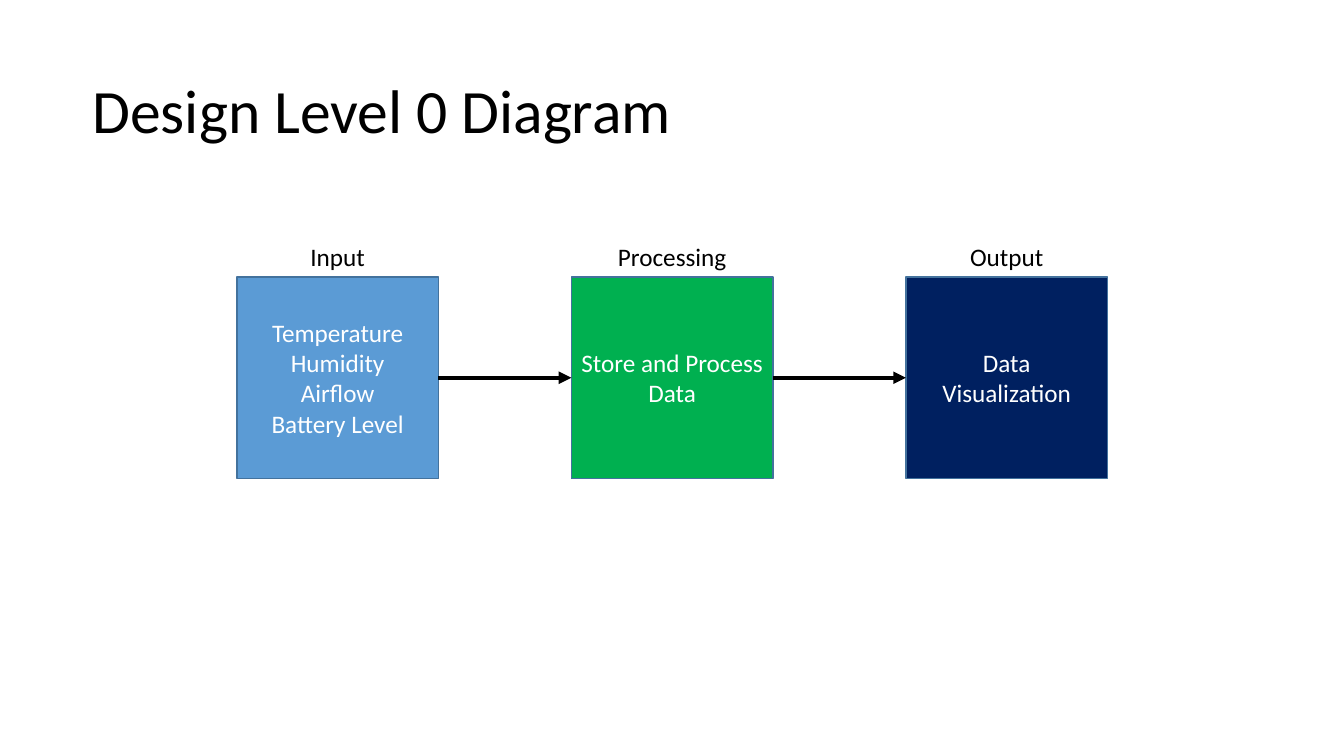
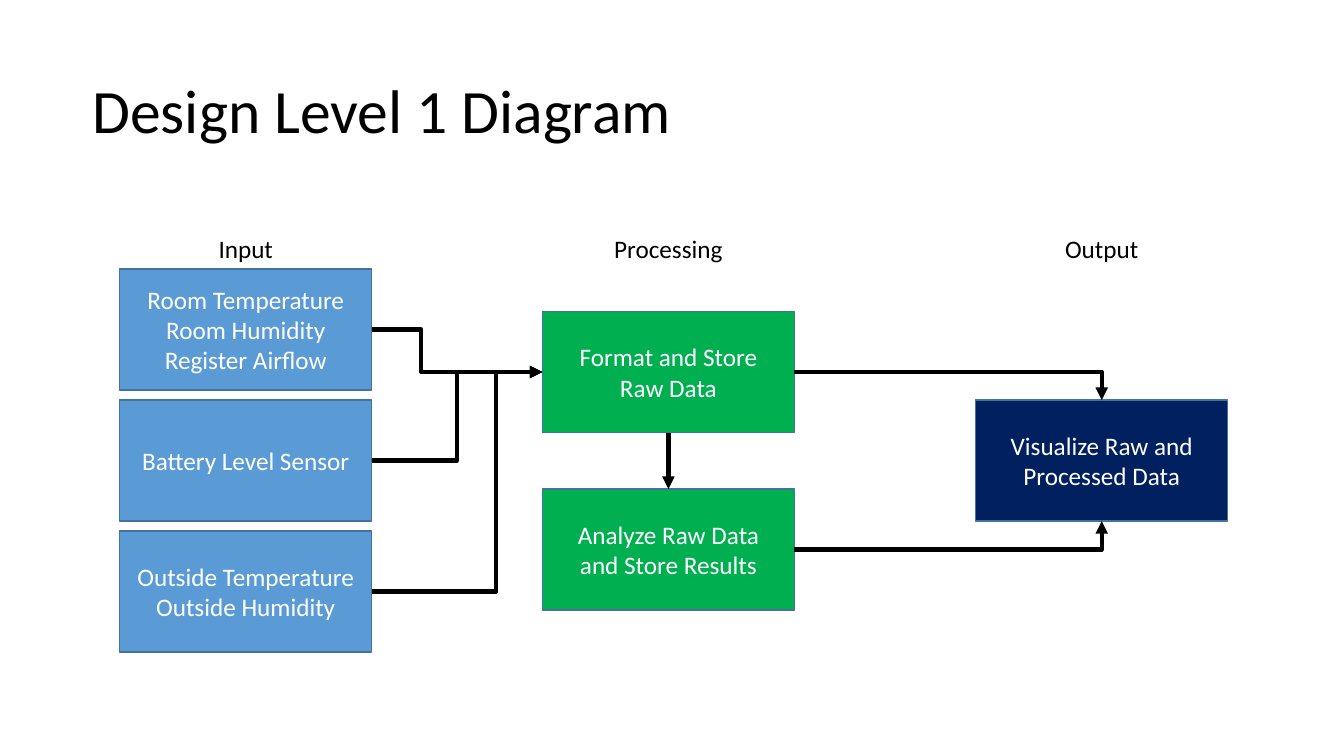
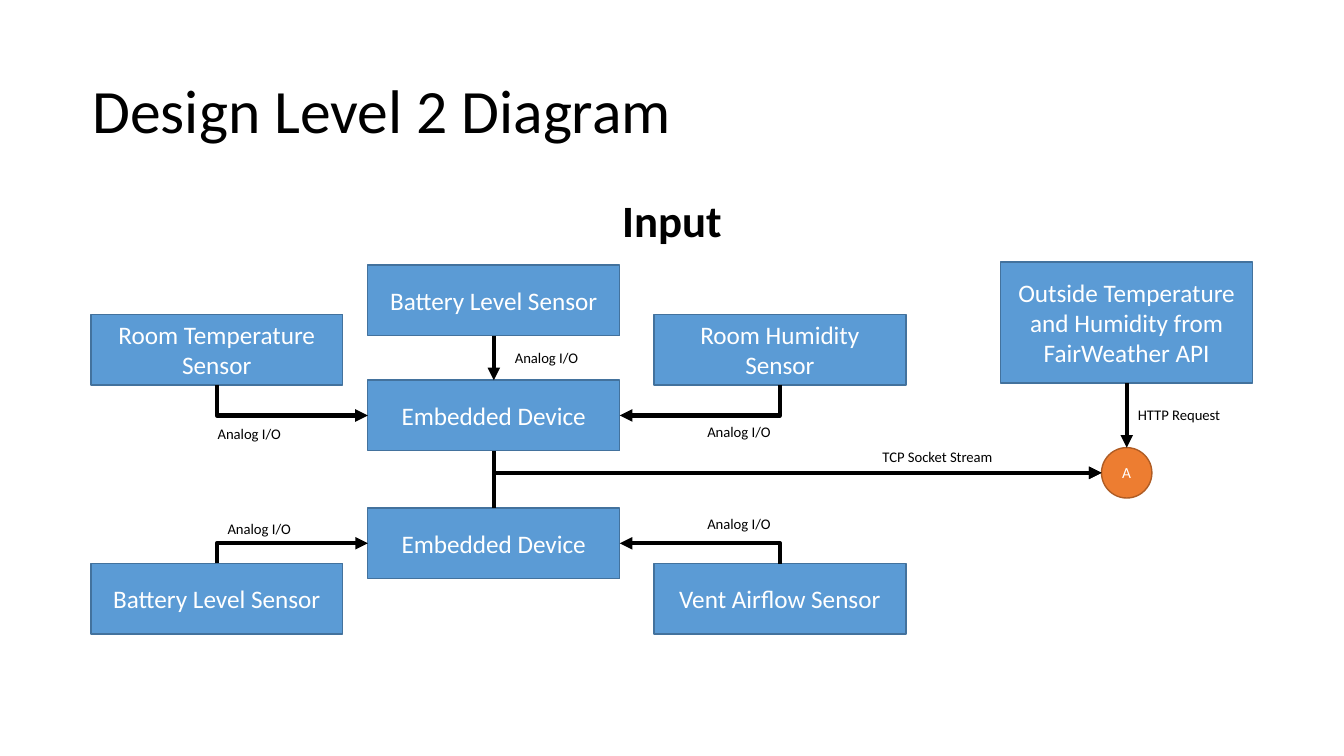
"""Build three design-level block diagrams."""
from dataclasses import dataclass
from enum import IntEnum

from lxml import etree
from pptx import Presentation
from pptx import util as u
from pptx.dml import color
from pptx.enum import shapes, text
from pptx.oxml import ns


@dataclass(frozen=True)
class Theme:
    """Colours, font and type sizes shared by all slides."""
    font: str = "Calibri"
    ink: str = "000000"
    paper: str = "FFFFFF"
    source: str = "5B9BD5"
    process: str = "00B050"
    output: str = "002060"
    joint: str = "ED7D31"
    edge: str = "43729D"
    joint_edge: str = "AF5C24"
    title: float = 44
    heading: float = 32
    body: float = 18
    joint_text: float = 11
    note: float = 10.5
    edge_width: float = 1
    arrow_width: float = 3


T = Theme()
SLIDE_W, SLIDE_H = 33.87, 19.05


class Side(IntEnum):
    """Sides of a block, numbered like rectangle connection sites."""
    TOP = 0
    LEFT = 1
    BOTTOM = 2
    RIGHT = 3

    @property
    def vertical(self) -> bool:
        """Tell whether an arrow leaves this side vertically."""
        return self in (Side.TOP, Side.BOTTOM)


@dataclass(frozen=True)
class Block:
    """A filled shape with centred text, in centimetres."""
    lines: tuple[str, ...]
    left: float
    top: float
    width: float
    height: float
    fill: str = T.source
    edge: str = T.edge
    size: float = T.body
    round: bool = False

    @property
    def center(self) -> float:
        """Return the horizontal centre."""
        return self.left + self.width / 2

    def point(self, side: Side) -> tuple[float, float]:
        """Return the middle of a side."""
        middle = self.top + self.height / 2
        return {
            Side.TOP: (self.center, self.top),
            Side.LEFT: (self.left, middle),
            Side.BOTTOM: (self.center, self.top + self.height),
            Side.RIGHT: (self.left + self.width, middle),
        }[side]

    def site(self, side: Side) -> int:
        """Return the connection site of a side."""
        return side * 2 if self.round else int(side)


@dataclass(frozen=True)
class Label:
    """A line of text centred on a horizontal position."""
    words: str
    center: float
    top: float
    width: float
    height: float = 1.02
    size: float = T.body
    bold: bool = False
    align: text.PP_ALIGN = text.PP_ALIGN.CENTER


@dataclass(frozen=True)
class Link:
    """An arrow between the sides of two blocks."""
    start: str
    leave: Side
    end: str
    enter: Side
    turn: float = 0.5


@dataclass(frozen=True)
class Diagram:
    """The content of one slide."""
    title: str
    blocks: dict[str, Block]
    labels: tuple[Label, ...]
    links: tuple[Link, ...]


def rgb(value: str) -> color.RGBColor:
    """Convert a hex string to a colour."""
    return color.RGBColor.from_string(value)


def write(tf, lines: tuple[str, ...], size: float, ink: str,
          align: text.PP_ALIGN, bold: bool = False) -> None:
    """Fill a text frame with uniformly styled paragraphs."""
    for i, line in enumerate(lines):
        p = tf.add_paragraph() if i else tf.paragraphs[0]
        p.text = line
        p.alignment = align
        p.font.name = T.font
        p.font.size = u.Pt(size)
        p.font.bold = bold
        p.font.color.rgb = rgb(ink)


def draw_title(s, words: str) -> None:
    """Draw the slide title."""
    sp = s.shapes.add_textbox(u.Cm(2.33), u.Cm(1.02), u.Cm(29.21), u.Cm(3.68))
    tf = sp.text_frame
    tf.word_wrap = True
    tf.vertical_anchor = text.MSO_ANCHOR.MIDDLE
    tf.margin_left = tf.margin_right = tf.margin_top = tf.margin_bottom = 0
    write(tf, (words,), T.title, T.ink, text.PP_ALIGN.LEFT)
    tf.paragraphs[0].line_spacing = 0.9


def draw_block(s, block: Block):
    """Draw a block and return its shape."""
    kinds = shapes.MSO_SHAPE
    kind = kinds.OVAL if block.round else kinds.FLOWCHART_PROCESS
    sp = s.shapes.add_shape(kind, u.Cm(block.left), u.Cm(block.top),
                            u.Cm(block.width), u.Cm(block.height))
    sp.shadow.inherit = False
    sp.fill.solid()
    sp.fill.fore_color.rgb = rgb(block.fill)
    sp.line.color.rgb = rgb(block.edge)
    sp.line.width = u.Pt(T.edge_width)
    tf = sp.text_frame
    tf.word_wrap = True
    tf.vertical_anchor = text.MSO_ANCHOR.MIDDLE
    write(tf, block.lines, block.size, T.paper, text.PP_ALIGN.CENTER)
    return sp


def draw_label(s, label: Label) -> None:
    """Draw an unwrapped label."""
    sp = s.shapes.add_textbox(u.Cm(label.center - label.width / 2), u.Cm(label.top),
                              u.Cm(label.width), u.Cm(label.height))
    tf = sp.text_frame
    tf.word_wrap = False
    tf.auto_size = text.MSO_AUTO_SIZE.SHAPE_TO_FIT_TEXT
    write(tf, (label.words,), label.size, T.ink, label.align, label.bold)


def draw_link(s, link: Link, blocks: dict[str, Block], drawn: dict) -> None:
    """Draw a glued arrow, straight or bent as its sides require."""
    start, end = blocks[link.start], blocks[link.end]
    x1, y1 = start.point(link.leave)
    x2, y2 = end.point(link.enter)
    corner = link.leave.vertical != link.enter.vertical
    straight = not corner and min(abs(x2 - x1), abs(y2 - y1)) < 0.02
    upright = corner and link.leave.vertical
    if upright:
        cx, cy, dx, dy = (x1 + x2) / 2, (y1 + y2) / 2, x2 - x1, y2 - y1
        x1, x2 = cx - dy / 2, cx + dy / 2
        y1, y2 = cy + dx / 2, cy - dx / 2

    kinds = shapes.MSO_CONNECTOR
    c = s.shapes.add_connector(kinds.STRAIGHT if straight else kinds.ELBOW, 0, 0, 0, 0)
    c.begin_connect(drawn[link.start], start.site(link.leave))
    c.end_connect(drawn[link.end], end.site(link.enter))
    c.begin_x, c.begin_y = u.Cm(x1), u.Cm(y1)
    c.end_x, c.end_y = u.Cm(x2), u.Cm(y2)
    if upright:
        c.rotation = 90
    c.line.color.rgb = rgb(T.ink)
    c.line.width = u.Pt(T.arrow_width)

    props = c.element.spPr
    geometry = props.find(ns.qn("a:prstGeom"))
    if corner:
        geometry.set("prst", "bentConnector2")
    elif link.turn != 0.5:
        guide = etree.SubElement(geometry.find(ns.qn("a:avLst")), ns.qn("a:gd"))
        guide.set("name", "adj1")
        guide.set("fmla", f"val {round(link.turn * 100000)}")
    etree.SubElement(props.find(ns.qn("a:ln")), ns.qn("a:tailEnd")).set("type", "triangle")
    etree.SubElement(props, ns.qn("a:effectLst"))


def draw_diagram(prs, diagram: Diagram) -> None:
    """Add a slide holding one diagram."""
    s = prs.slides.add_slide(prs.slide_layouts[6])
    draw_title(s, diagram.title)
    drawn = {key: draw_block(s, block) for key, block in diagram.blocks.items()}
    for link in diagram.links:
        draw_link(s, link, diagram.blocks, drawn)
    for label in diagram.labels:
        draw_label(s, label)


def stage_labels(columns: tuple[Block, ...], top: float) -> tuple[Label, ...]:
    """Name the three stages above their columns."""
    stages = (("Input", 2), ("Processing", 3.4), ("Output", 2.5))
    return tuple(Label(words, block.center, top, width)
                 for (words, width), block in zip(stages, columns))


def note(words: str, center: float, top: float, width: float = 2.11) -> Label:
    """Describe a small note beside an arrow."""
    return Label(words, center, top, width, 0.69, T.note, align=text.PP_ALIGN.LEFT)


def level_0() -> Diagram:
    """Describe the overview diagram."""
    stages = (
        ("input", ("Temperature", "Humidity", "Airflow", "Battery Level"), T.source),
        ("process", ("Store and Process Data",), T.process),
        ("output", ("Data Visualization",), T.output),
    )
    blocks = {key: Block(lines, 5.97 + 8.43 * i, 6.98, 5.08, 5.08, fill)
              for i, (key, lines, fill) in enumerate(stages)}
    links = (Link("input", Side.RIGHT, "process", Side.LEFT),
             Link("process", Side.RIGHT, "output", Side.LEFT))
    return Diagram("Design Level 0 Diagram", blocks,
                   stage_labels(tuple(blocks.values()), 5.96), links)


def level_1() -> Diagram:
    """Describe the diagram of inputs, processing and output."""
    w, h = 6.35, 3.05
    inputs = (
        ("room", ("Room Temperature", "Room Humidity", "Register Airflow"), 0.29),
        ("battery", ("Battery Level Sensor",), 0.5),
        ("outside", ("Outside Temperature", "Outside Humidity"), 0.73),
    )
    blocks = {key: Block(lines, 3.02, 6.78 + 3.3 * i, w, h)
              for i, (key, lines, _) in enumerate(inputs)}
    blocks |= {
        "format": Block(("Format and Store", "Raw Data"), 13.67, 7.85, w, h, T.process),
        "analyze": Block(("Analyze Raw Data", "and Store Results"), 13.67, 12.32, w, h,
                         T.process),
        "output": Block(("Visualize Raw and Processed Data",), 24.59, 10.08, w, h, T.output),
    }
    links = tuple(Link(key, Side.RIGHT, "format", Side.LEFT, turn)
                  for key, _, turn in inputs) + (
        Link("format", Side.BOTTOM, "analyze", Side.TOP),
        Link("format", Side.RIGHT, "output", Side.TOP),
        Link("analyze", Side.RIGHT, "output", Side.BOTTOM),
    )
    columns = (blocks["room"], blocks["format"], blocks["output"])
    labels = stage_labels(columns, 5.76)
    return Diagram("Design Level 1 Diagram", blocks, labels, links)


def level_2() -> Diagram:
    """Describe the diagram of sensor inputs."""
    left, middle, right = 2.29, 9.27, 16.48
    sensors = (
        ("battery", "Battery Level Sensor", middle, 6.68),
        ("device", "Embedded Device", middle, 9.58),
        ("temperature", "Room Temperature Sensor", left, 7.92),
        ("humidity", "Room Humidity Sensor", right, 7.92),
        ("vent device", "Embedded Device", middle, 12.8),
        ("vent battery", "Battery Level Sensor", left, 14.2),
        ("airflow", "Vent Airflow Sensor", right, 14.2),
    )
    blocks = {key: Block((words,), x, y, 6.35, 1.78) for key, words, x, y in sensors}
    blocks |= {
        "weather": Block(("Outside Temperature", "and Humidity from FairWeather API"),
                         25.22, 6.6, 6.35, 3.05),
        "joint": Block(("A",), 27.76, 11.28, 1.27, 1.27, T.joint, T.joint_edge,
                       T.joint_text, True),
    }
    links = (
        Link("battery", Side.BOTTOM, "device", Side.TOP),
        Link("temperature", Side.BOTTOM, "device", Side.LEFT),
        Link("humidity", Side.BOTTOM, "device", Side.RIGHT),
        Link("vent battery", Side.TOP, "vent device", Side.LEFT),
        Link("airflow", Side.TOP, "vent device", Side.RIGHT),
        Link("device", Side.BOTTOM, "joint", Side.LEFT),
        Link("vent device", Side.TOP, "joint", Side.LEFT),
        Link("weather", Side.BOTTOM, "joint", Side.TOP),
    )
    analog = ((13.78, 8.66), (6.29, 10.57), (18.63, 10.54), (6.54, 12.98), (18.63, 12.85))
    labels = (
        Label("Input", SLIDE_W / 2, 4.72, 3.02, 1.6, T.heading, True),
        *(note("Analog I/O", x, y) for x, y in analog),
        note("TCP Socket Stream", 23.63, 11.15, 3.28),
        note("HTTP Request", 29.72, 10.11, 2.59),
    )
    return Diagram("Design Level 2 Diagram", blocks, labels, links)


def main() -> None:
    """Build and save the presentation."""
    prs = Presentation()
    prs.slide_width, prs.slide_height = u.Cm(SLIDE_W), u.Cm(SLIDE_H)
    for diagram in (level_0(), level_1(), level_2()):
        draw_diagram(prs, diagram)
    prs.save("out.pptx")


main()
